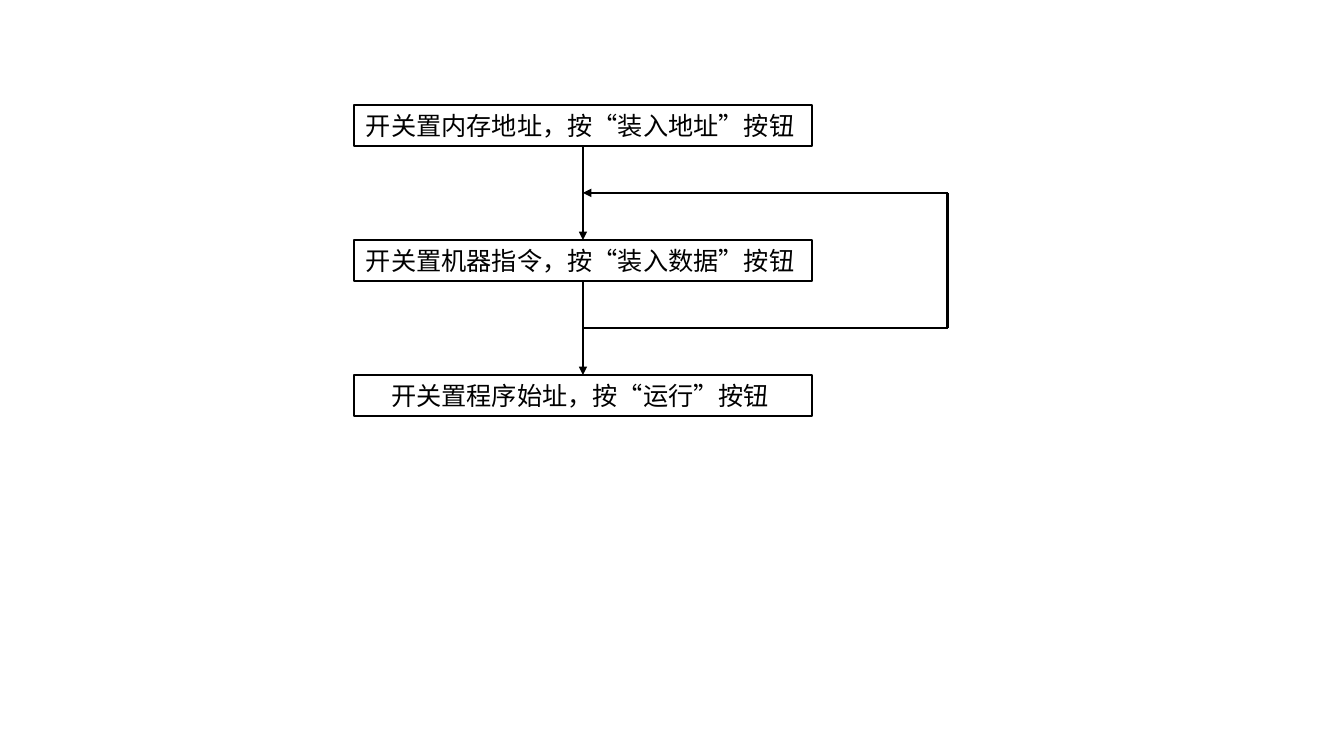
from dataclasses import dataclass

from lxml import etree
from pptx import Presentation
from pptx.dml.color import RGBColor
from pptx.enum.shapes import MSO_CONNECTOR, MSO_SHAPE
from pptx.enum.text import MSO_ANCHOR, PP_ALIGN
from pptx.oxml.ns import qn
from pptx.util import Pt

RECT = MSO_SHAPE.RECTANGLE
STRAIGHT = MSO_CONNECTOR.STRAIGHT
CENTER = PP_ALIGN.CENTER
MIDDLE = MSO_ANCHOR.MIDDLE
BOTTOM_SIDE, TOP_SIDE = 2, 0


@dataclass
class Theme:
    ink: RGBColor = RGBColor(0, 0, 0)
    font: str = "Noto Sans CJK SC"
    size: float = 18
    line: float = 1.5


theme = Theme()


def add_text(tf, text, size=theme.size, color=theme.ink, align=CENTER):
    p = tf.paragraphs[0]
    p.alignment = align
    r = p.add_run()
    r.text = text
    r.font.size = Pt(size)
    r.font.name = theme.font
    r.font.color.rgb = color
    rPr = r.font._element
    rPr.set("lang", "zh-CN")
    etree.SubElement(rPr, qn("a:ea")).set("typeface", theme.font)


def add_line(x1, y1, x2, y2, arrow=False):
    c = s.shapes.add_connector(STRAIGHT, Pt(x1), Pt(y1), Pt(x2), Pt(y2))
    c.line.color.rgb = theme.ink
    c.line.width = Pt(theme.line)
    if arrow:
        etree.SubElement(c.line._get_or_add_ln(), qn("a:tailEnd")).set("type", "triangle")
    etree.SubElement(c._element.spPr, qn("a:effectLst"))
    return c


prs = Presentation()
prs.slide_width, prs.slide_height = Pt(960), Pt(540)
s = prs.slides.add_slide(prs.slide_layouts[6])

# Step boxes, evenly spaced
left, top, width, height, pitch = 252.6, 75, 327.6, 29.2, 96.4
steps = [
    "开关置内存地址，按“装入地址”按钮 ",
    "开关置机器指令，按“装入数据”按钮 ",
    "开关置程序始址，按“运行”按钮 ",
]
boxes = []
for i, text in enumerate(steps):
    sp = s.shapes.add_shape(RECT, Pt(left), Pt(top + i * pitch), Pt(width), Pt(height))
    sp.shadow.inherit = False
    sp.fill.background()
    sp.line.color.rgb = theme.ink
    sp.line.width = Pt(theme.line)
    tf = sp.text_frame
    tf.word_wrap = True
    tf.vertical_anchor = MIDDLE
    tf.margin_top = tf.margin_bottom = 0
    add_text(tf, text)
    boxes.append(sp)

# Arrows from each step to the next
center_x = left + width / 2
for i, (upper, lower) in enumerate(zip(boxes, boxes[1:])):
    y = top + i * pitch
    c = add_line(center_x, y + height, center_x, y + pitch, arrow=True)
    c.begin_connect(upper, BOTTOM_SIDE)
    c.end_connect(lower, TOP_SIDE)

# Loop back around the second step, between the arrow midpoints
loop_x = 676.8
loop_top = top + (height + pitch) / 2
loop_bottom = loop_top + pitch
add_line(center_x, loop_bottom, loop_x, loop_bottom)
add_line(loop_x, loop_top, center_x, loop_top, arrow=True)
add_line(loop_x, loop_top, loop_x, loop_bottom)

prs.save("out.pptx")
